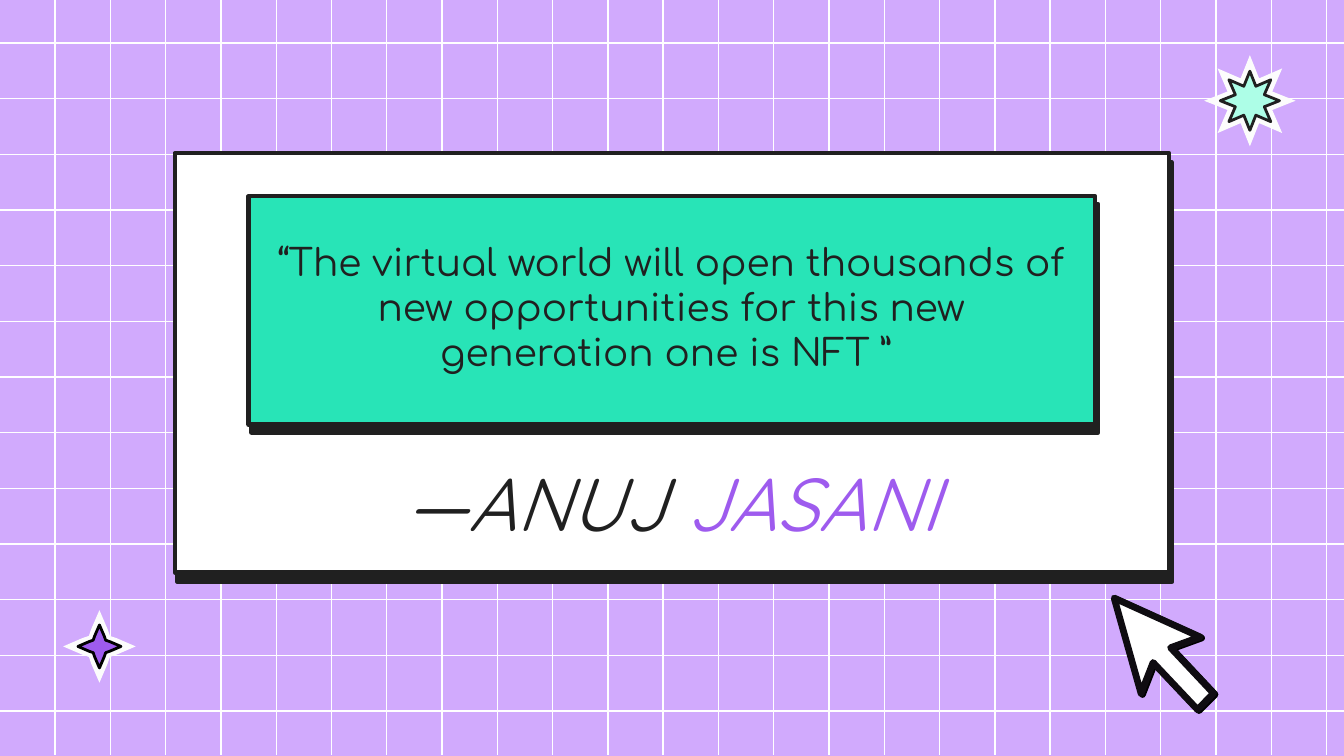
from dataclasses import dataclass
import math

import lxml.etree
import pptx
import pptx.dml.color
import pptx.enum.shapes
import pptx.enum.text
import pptx.oxml.ns
import pptx.util

Inches = pptx.util.Inches
Pt = pptx.util.Pt

HUES = {
    "lilac": "D1AAFD",
    "white": "FFFFFF",
    "pearl": "FCFCFC",
    "ink": "202020",
    "coal": "0F0C11",
    "black": "000000",
    "green": "28E4B7",
    "mint": "ADFEE7",
    "purple": "9E5BEE",
}


@dataclass
class Shade:
    hue: str
    dist: float
    angle: int


@dataclass
class Panel:
    left: float
    top: float
    width: float
    height: float
    fill: str
    shade: Shade


@dataclass
class Star:
    x: float
    y: float
    radius: float
    turns: int
    rays: tuple
    fill: str
    line: str | None = None


def color(name: str) -> pptx.dml.color.RGBColor:
    return pptx.dml.color.RGBColor.from_string(HUES[name])


def add_node(parent, tag: str, **attrs):
    return lxml.etree.SubElement(parent, pptx.oxml.ns.qn(tag), attrs)


def paint(shape, fill: str, line: str | None, weight: float = 0, shade: Shade | None = None) -> None:
    props = shape.element.spPr
    shape.fill.solid()
    shape.fill.fore_color.rgb = color(fill)
    if line:
        shape.line.color.rgb = color(line)
        shape.line.width = Pt(weight)
        add_node(props.find(pptx.oxml.ns.qn("a:ln")), "a:round")
    else:
        shape.line.fill.background()
    shape.shadow.inherit = False
    if shade:
        effects = props.find(pptx.oxml.ns.qn("a:effectLst"))
        outer = add_node(effects, "a:outerShdw", dist=str(Pt(shade.dist)),
                         dir=str(shade.angle * 60000), algn="bl", rotWithShape="0")
        add_node(outer, "a:srgbClr", val=HUES[shade.hue])


def add_line(slide, x1: float, y1: float, x2: float, y2: float) -> None:
    line = slide.shapes.add_connector(pptx.enum.shapes.MSO_CONNECTOR.STRAIGHT,
                                      Inches(x1), Inches(y1), Inches(x2), Inches(y2))
    line.line.color.rgb = color("white")
    line.line.width = Pt(0.75)
    add_node(line.element.spPr, "a:effectLst")


def add_panel(slide, panel: Panel) -> None:
    shape = slide.shapes.add_shape(pptx.enum.shapes.MSO_SHAPE.RECTANGLE, Inches(panel.left),
                                   Inches(panel.top), Inches(panel.width), Inches(panel.height))
    paint(shape, panel.fill, "ink", 2.25, panel.shade)


def add_shape(slide, points: list):
    dots = [(Inches(x), Inches(y)) for x, y in points]
    maker = slide.shapes.build_freeform(*dots[0])
    maker.add_line_segments(dots[1:], close=True)
    return maker.convert_to_shape()


def add_star(slide, star: Star) -> None:
    points = []
    for turn in range(star.turns):
        for angle, reach in star.rays:
            theta = math.radians(turn * 360 / star.turns + angle)
            points.append((star.x + star.radius * reach * math.sin(theta),
                           star.y - star.radius * reach * math.cos(theta)))
    paint(add_shape(slide, points), star.fill, star.line, 1.5)


def write(slide, holder, parts: list, *, box: tuple, font: str, size: int,
          slant: bool = False) -> None:
    holder.left, holder.top, holder.width, holder.height = map(Inches, box)
    frame = holder.text_frame
    frame.word_wrap = True
    frame.auto_size = pptx.enum.text.MSO_AUTO_SIZE.NONE
    frame.vertical_anchor = pptx.enum.text.MSO_ANCHOR.TOP
    frame.margin_left = frame.margin_right = Inches(0.1)
    frame.margin_top = frame.margin_bottom = Inches(0.1)
    para = frame.paragraphs[0]
    para.alignment = pptx.enum.text.PP_ALIGN.CENTER
    para.space_before = Pt(0)
    para.line_spacing = 1.0
    for text, hue in parts:
        run = para.add_run()
        run.text = text
        run.font.name = font
        run.font.size = Pt(size)
        run.font.italic = slant
        run.font.color.rgb = color(hue)
    slide.shapes.element.append(holder.element)


def main() -> None:
    deck = pptx.Presentation()
    deck.slide_width = Inches(10)
    deck.slide_height = deck.slide_width * 9 // 16
    slide = deck.slides.add_slide(deck.slide_layouts[0])
    slide.background.fill.solid()
    slide.background.fill.fore_color.rgb = color("lilac")

    for row in range(13):
        y = 0.32 + row * 4.97 / 12
        add_line(slide, 0, y, 10, y)
    for col in range(24):
        x = 0.41 + col * 9.46 / 23
        add_line(slide, x, 0, x, 5.62)

    add_panel(slide, Panel(1.3, 1.14, 7.4, 3.12, "white", Shade("ink", 5.2, 74)))
    add_panel(slide, Panel(1.85, 1.46, 6.3, 1.7, "green", Shade("ink", 4.5, 70)))

    title, quote = slide.placeholders
    write(slide, quote,
          [("“The virtual world will open thousands of new opportunities "
            "for this new generation one is NFT ” ", "ink")],
          box=(1.95, 1.68, 6.09, 1.29), font="Comfortaa", size=20)
    write(slide, title, [("—ANUJ ", "ink"), ("JASANI", "purple")],
          box=(1.69, 3.3, 6.63, 0.73), font="Quicksand", size=40, slant=True)

    arrow = add_shape(slide, [(8.29, 4.45), (8.49, 5.16), (8.58, 4.93), (8.91, 5.28),
                              (9.03, 5.16), (8.71, 4.82), (8.93, 4.74)])
    paint(arrow, "white", "coal", 3.6, Shade("black", 1, 36))

    burst = ((0, 1), (22.5, 0.53))
    spark = ((0, 1), (25, 0.53), (45, 0.41), (65, 0.53))
    for star in (
        Star(9.3, 0.75, 0.34, 8, burst, "pearl"),
        Star(9.3, 0.75, 0.22, 8, burst, "mint", "ink"),
        Star(0.74, 4.81, 0.27, 4, spark, "pearl"),
        Star(0.74, 4.81, 0.16, 4, spark, "purple", "black"),
    ):
        add_star(slide, star)

    deck.save("out.pptx")


if __name__ == "__main__":
    main()
